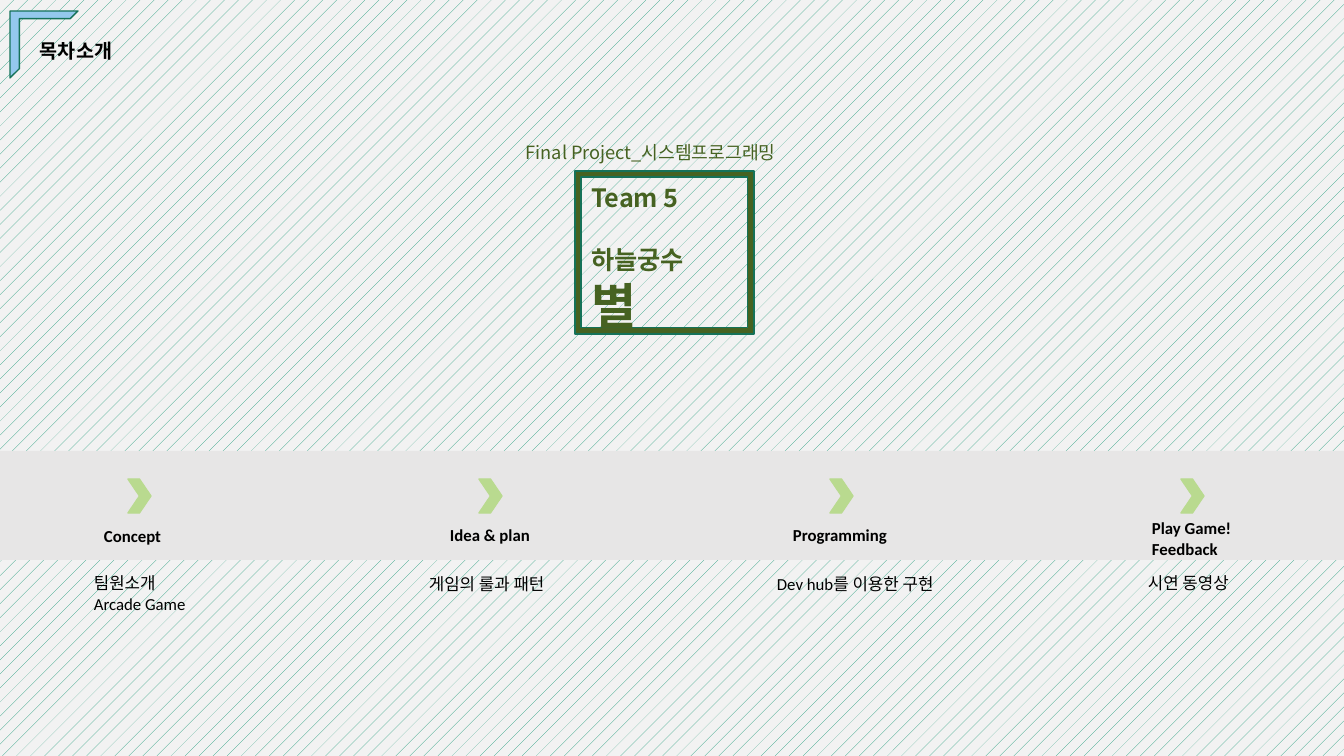
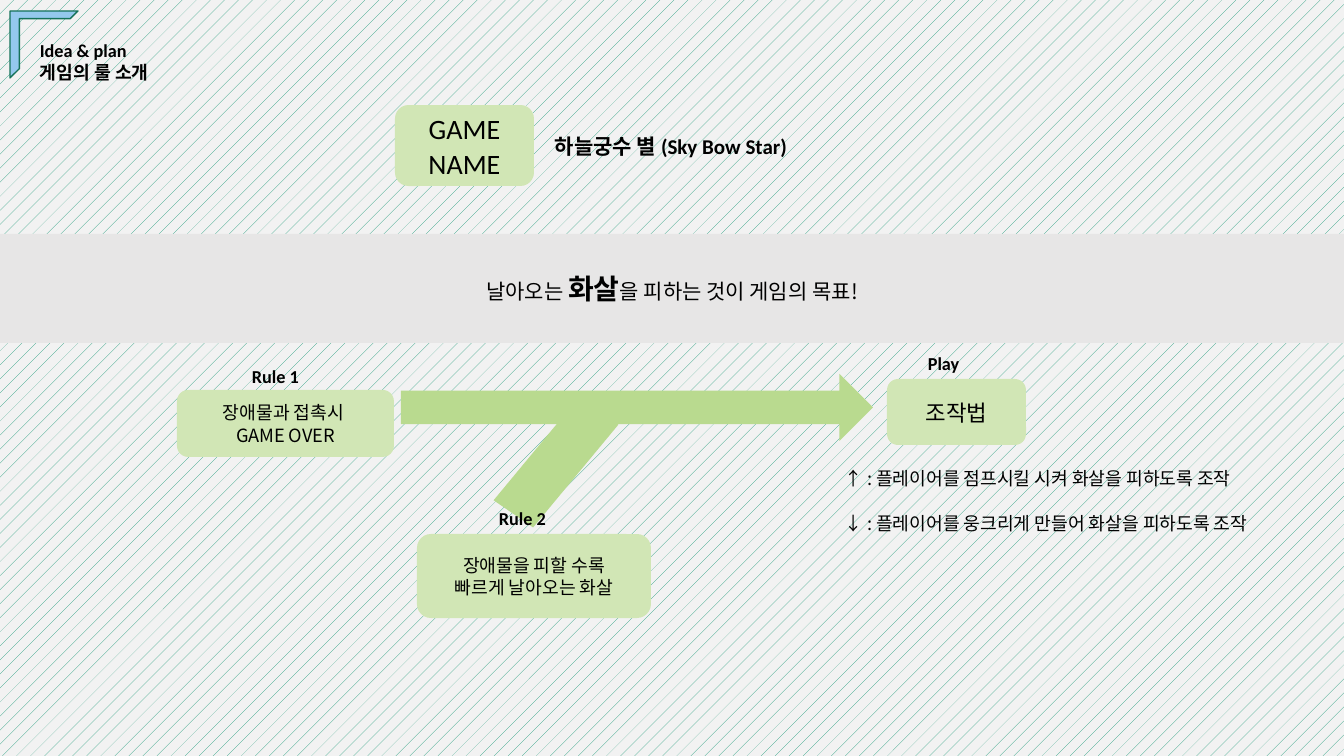
from pptx import Presentation
from pptx.dml.color import RGBColor
from pptx.enum.dml import MSO_PATTERN
from pptx.enum.shapes import MSO_SHAPE as SHP
from pptx.enum.text import MSO_ANCHOR as ANC, PP_ALIGN as AL
from pptx.util import Pt
from lxml import etree

PX = 914400 / 100.8
W, H = 1344, 756
C = {"paper": "F2F2F2", "hatch": "1D9A78", "band": "E7E6E6", "olive": "466221",
     "edge": "157259", "sky": "94C8ED", "leaf": "B9DA8F", "card": "D1E6B5",
     "text": "000000"}
LATIN, KOREAN = "Calibri", "Noto Sans CJK KR"
LINE = 1.22  # line height per point of text

prs = Presentation()
prs.slide_width, prs.slide_height = round(W * PX), round(H * PX)


def add(s, box, kind=None, fill=None, line=None, adj=()):
    """Add a preset shape, or a text box when no kind is given."""
    x, y, w, h = (round(v * PX) for v in box)
    if kind is None:
        return s.shapes.add_textbox(x, y, w, h)
    sp = s.shapes.add_shape(kind, x, y, w, h)
    sp.shadow.inherit = False
    sp.fill.solid()
    sp.fill.fore_color.rgb = RGBColor.from_string(C[fill])
    if line:
        sp.line.color.rgb = RGBColor.from_string(C[line])
        sp.line.width = Pt(1)
    else:
        sp.line.fill.background()
    for i, value in enumerate(adj):
        sp.adjustments[i] = value
    return sp


def write(sp, lines, size, bold=False, font=LATIN, color="text",
          align=AL.LEFT, anchor=ANC.TOP, gap=0):
    """Each line is a string or a list of (text, size, bold) runs."""
    tf = sp.text_frame
    tf.word_wrap = True
    tf.vertical_anchor = anchor
    for i, runs in enumerate(lines):
        p = tf.paragraphs[0] if i == 0 else tf.add_paragraph()
        p.alignment = align
        if isinstance(runs, str):
            runs = [(runs, size, bold)]
        p.line_spacing = Pt(round(LINE * max(r[1] for r in runs), 1))
        if i == 1:
            p.space_before = Pt(gap)
        for text, pts, heavy in runs:
            r = p.add_run()
            r.text = text
            r.font.size, r.font.bold, r.font.name = Pt(pts), heavy, font
            r.font.color.rgb = RGBColor.from_string(C[color])
            latin = r.font._element.find("{*}latin")
            ea = etree.Element(latin.tag.replace("latin", "ea"), typeface=KOREAN)
            latin.addnext(ea)


# Shared parts: background, band, corner and title
slides, bands = [], []
for title, size, band_y in [(["목차소개"], 14, 451),
                            (["Idea & plan", "게임의 룰 소개"], 13, 234)]:
    s = prs.slides.add_slide(prs.slide_layouts[6])
    bg = s.background.fill
    bg.patterned()
    bg.pattern = MSO_PATTERN.PERCENT_5
    bg.fore_color.rgb = RGBColor.from_string(C["hatch"])
    bg.back_color.rgb = RGBColor.from_string(C["paper"])
    bands.append(add(s, (0, band_y, W, 109), SHP.RECTANGLE, "band"))
    add(s, (10, 11, 68, 67), SHP.HALF_FRAME, "sky", "edge", (0.115, 0.141))
    write(add(s, (30, 34, 161, 54)), title, size, True)
    slides.append(s)

# Slide 1: team frame
s = slides[0]
frame = add(s, (575, 171, 179, 163), SHP.FRAME, "olive", "edge", (0.038,))
write(frame, ["Team 5", "하늘궁수", [("별", 35, True)]], 18, True,
      KOREAN, "olive", gap=22)
write(add(s, (516, 136, 298, 32)), ["Final Project_시스템프로그래밍"], 13,
      font=KOREAN, color="olive")

# Slide 1: contents, each with head and detail boxes as (left, top, width)
contents = [
    ("Concept", (94, 521, 92), ["팀원소개", "Arcade Game"], (84, 568, 165)),
    ("Idea & plan", (440, 520, 133), ["게임의 룰과 패턴"], (419, 569, 165)),
    ("Programming", (783, 520, 149), ["Dev hub를 이용한 구현"], (767, 569, 188)),
    ("Play Game! Feedback", (1142, 513, 124), ["시연 동영상"], (1138, 568, 112)),
]
for i, (head, head_box, detail, detail_box) in enumerate(contents):
    add(s, (128 + 351 * i, 479, 23, 34), SHP.CHEVRON, "leaf", "leaf")
    write(add(s, (*head_box, 30)), [head], 12, True)
    write(add(s, (*detail_box, 30)), detail, 12)

# Slide 2: goal of the game
s = slides[1]
goal = [("날아오는 ", 15, False), ("화살", 20, True),
        ("을 피하는 것이 게임의 목표!", 15, False)]
write(bands[1], [goal], 15, font=KOREAN, align=AL.CENTER, anchor=ANC.MIDDLE)
write(add(s, (545, 128, 418, 35)), ["하늘궁수 별 (Sky Bow Star)"], 15, True)

# Slide 2: cards
for box, lines, size, font in [
    ((177, 390, 217, 67), ["장애물과 접촉시 ", "GAME OVER"], 13, KOREAN),
    ((395, 105, 139, 81), ["GAME", "NAME"], 20, LATIN),
    ((417, 534, 234, 84), ["장애물을 피할 수록", "빠르게 날아오는 화살"], 13, LATIN),
    ((887, 379, 139, 66), ["조작법"], 16, LATIN),
]:
    card = add(s, box, SHP.ROUNDED_RECTANGLE, "card")
    write(card, lines, size, font=font, align=AL.CENTER, anchor=ANC.MIDDLE)

# Slide 2: merging arrow
branch = add(s, (526, 396, 60, 133), SHP.FLOWCHART_DATA, "leaf")
branch.rotation = 34.5
add(s, (401, 374, 472, 67), SHP.RIGHT_ARROW, "leaf")

# Slide 2: keys and labels
write(add(s, (835, 462, 488, 77)),
      ["↑ : 플레이어를 점프시킬 시켜 화살을 피하도록 조작",
       "↓ : 플레이어를 웅크리게 만들어 화살을 피하도록 조작"],
      13, font=KOREAN, gap=16)
for label, x, y in [("Rule 1", 242, 360), ("Rule 2", 489, 502), ("Play", 918, 347)]:
    write(add(s, (x, y, 112, 32)), [label], 13, True)

prs.save("out.pptx")
